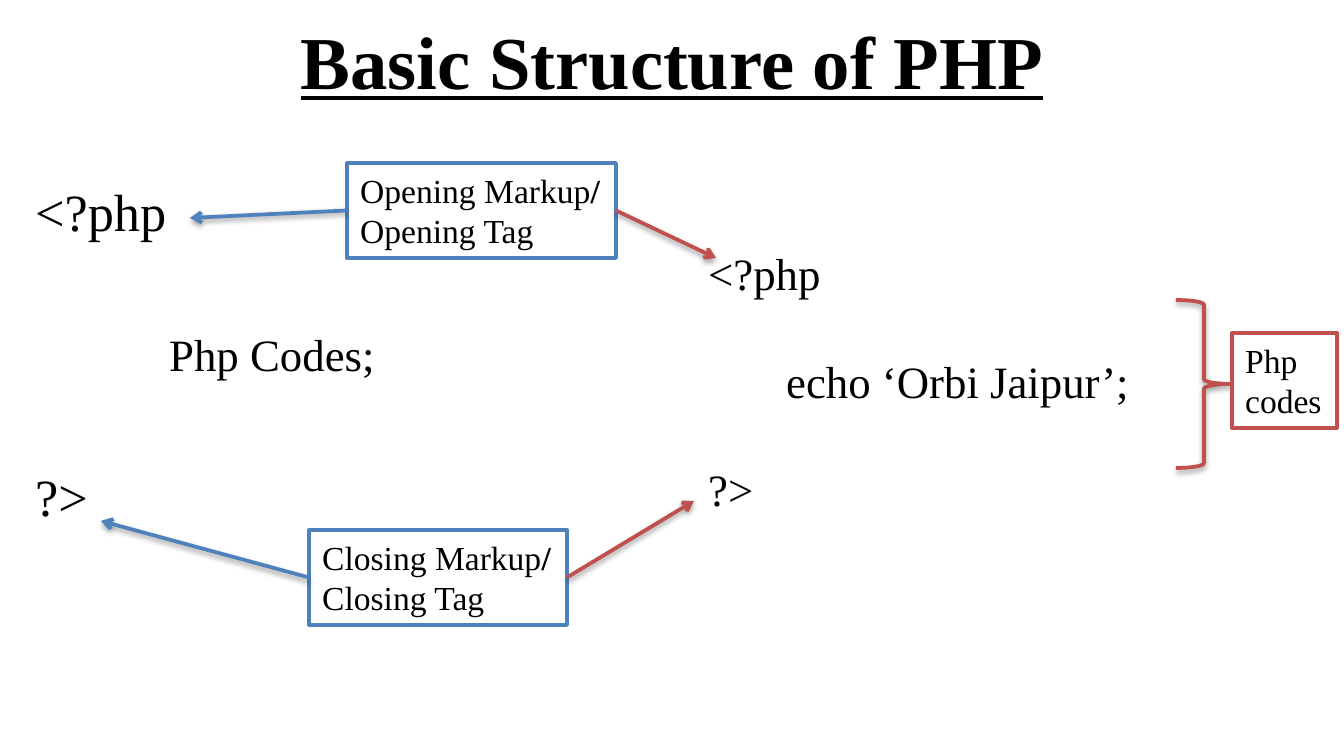
import dataclasses

import lxml.etree
import pptx
import pptx.dml.color
import pptx.enum.shapes
import pptx.enum.text
import pptx.oxml.ns
import pptx.util

EMU_PER_PX = 914400 / 134.4
ALIGN = pptx.enum.text.PP_ALIGN
ANCHOR = pptx.enum.text.MSO_ANCHOR
SHAPE = pptx.enum.shapes.MSO_SHAPE
LEFT_SIDE, RIGHT_SIDE = 1, 3


@dataclasses.dataclass(frozen=True)
class Theme:
    font: str = "Times New Roman"
    text: str = "000000"
    paper: str = "FFFFFF"
    blue: str = "4F81BD"
    red: str = "C0504D"
    title_size: int = 40
    tag_size: int = 28
    code_size: int = 24
    label_size: int = 18
    line_width: int = 2


def px(value):
    return pptx.util.Emu(round(value * EMU_PER_PX))


def color(value):
    return pptx.dml.color.RGBColor.from_string(value)


class SlideBuilder:
    def __init__(self, slide, theme):
        self.slide = slide
        self.theme = theme

    def style(self, paragraph, size):
        paragraph.font.name = self.theme.font
        paragraph.font.size = pptx.util.Pt(size)
        paragraph.font.color.rgb = color(self.theme.text)

    def outline(self, shape, line_color):
        shape.line.color.rgb = color(line_color)
        shape.line.width = pptx.util.Pt(self.theme.line_width)

    def cast_shadow(self, shape):
        qn = pptx.oxml.ns.qn
        effects = lxml.etree.SubElement(shape._element.spPr, qn("a:effectLst"))
        shadow = lxml.etree.SubElement(
            effects, qn("a:outerShdw"), blurRad="40000", dist="20000",
            dir="5400000", rotWithShape="0")
        tint = lxml.etree.SubElement(shadow, qn("a:srgbClr"), val=self.theme.text)
        lxml.etree.SubElement(tint, qn("a:alpha"), val="38000")

    def text_frame(self, left, top, width, height):
        frame = self.slide.shapes.add_textbox(
            px(left), px(top), px(width), px(height)).text_frame
        frame.word_wrap = True
        return frame

    def title(self, text, left, top, width, height):
        frame = self.text_frame(left, top, width, height)
        frame.vertical_anchor = ANCHOR.MIDDLE
        paragraph = frame.paragraphs[0]
        paragraph.text = text
        paragraph.alignment = ALIGN.CENTER
        self.style(paragraph, self.theme.title_size)
        paragraph.font.bold = True
        paragraph.font.underline = True

    def code(self, lines, left, top, width, height, gap):
        frame = self.text_frame(left, top, width, height)
        for index, (text, size, indent) in enumerate(lines):
            paragraph = frame.add_paragraph() if index else frame.paragraphs[0]
            paragraph.text = text
            self.style(paragraph, size)
            paragraph.space_before = pptx.util.Pt(gap if index else 0)
            paragraph._p.get_or_add_pPr().set("marL", str(px(indent)))

    def label(self, lines, left, top, width, height, line_color):
        shape = self.slide.shapes.add_shape(
            SHAPE.RECTANGLE, px(left), px(top), px(width), px(height))
        shape.shadow.inherit = False
        shape.fill.solid()
        shape.fill.fore_color.rgb = color(self.theme.paper)
        self.outline(shape, line_color)
        frame = shape.text_frame
        frame.word_wrap = False
        frame.auto_size = pptx.enum.text.MSO_AUTO_SIZE.SHAPE_TO_FIT_TEXT
        frame.vertical_anchor = ANCHOR.TOP
        for index, text in enumerate(lines):
            paragraph = frame.add_paragraph() if index else frame.paragraphs[0]
            paragraph.alignment = ALIGN.LEFT
            self.style(paragraph, self.theme.label_size)
            paragraph.add_run().text = text.removesuffix("/")
            if text.endswith("/"):
                slash = paragraph.add_run()
                slash.text = "/"
                slash.font.bold = True
        return shape

    def arrow(self, label, side, end_x, end_y, line_color):
        connector = self.slide.shapes.add_connector(
            pptx.enum.shapes.MSO_CONNECTOR.STRAIGHT, 0, 0, px(end_x), px(end_y))
        connector.begin_connect(label, side)
        self.outline(connector, line_color)
        lxml.etree.SubElement(
            connector.line._get_or_add_ln(), pptx.oxml.ns.qn("a:tailEnd"), type="arrow")
        self.cast_shadow(connector)

    def brace(self, left, top, width, height, line_color):
        shape = self.slide.shapes.add_shape(
            SHAPE.RIGHT_BRACE, px(left), px(top), px(width), px(height))
        shape.fill.background()
        self.outline(shape, line_color)
        self.cast_shadow(shape)


def main():
    presentation = pptx.Presentation()
    presentation.slide_width = px(1344)
    presentation.slide_height = px(756)
    slide = presentation.slides.add_slide(presentation.slide_layouts[6])
    theme = Theme()
    builder = SlideBuilder(slide, theme)

    builder.title("Basic Structure of PHP", 67, -3, 1210, 126)
    builder.code(
        [("<?php", theme.tag_size, 0),
         ("Php Codes;", theme.code_size, 134),
         ("?>", theme.tag_size, 0)],
        22, 173, 448, 380, gap=45)
    opening = builder.label(
        ["Opening Markup/", "Opening Tag"], 347, 163, 269, 95, theme.blue)
    closing = builder.label(
        ["Closing Markup/", "Closing Tag"], 309, 530, 258, 95, theme.blue)
    builder.code(
        [("<?php", theme.code_size, 0),
         ("echo ‘Orbi Jaipur’;", theme.code_size, 78),
         ("?>", theme.code_size, 0)],
        695, 239, 571, 285, gap=29)

    builder.arrow(opening, LEFT_SIDE, 190, 218, theme.blue)
    builder.arrow(closing, LEFT_SIDE, 101, 521, theme.blue)
    builder.arrow(opening, RIGHT_SIDE, 716, 258, theme.red)
    builder.arrow(closing, RIGHT_SIDE, 694, 501, theme.red)
    builder.brace(1176, 300, 56, 168, theme.red)
    builder.label(["Php", "codes"], 1232, 333, 105, 95, theme.red)

    presentation.save("out.pptx")


if __name__ == "__main__":
    main()
